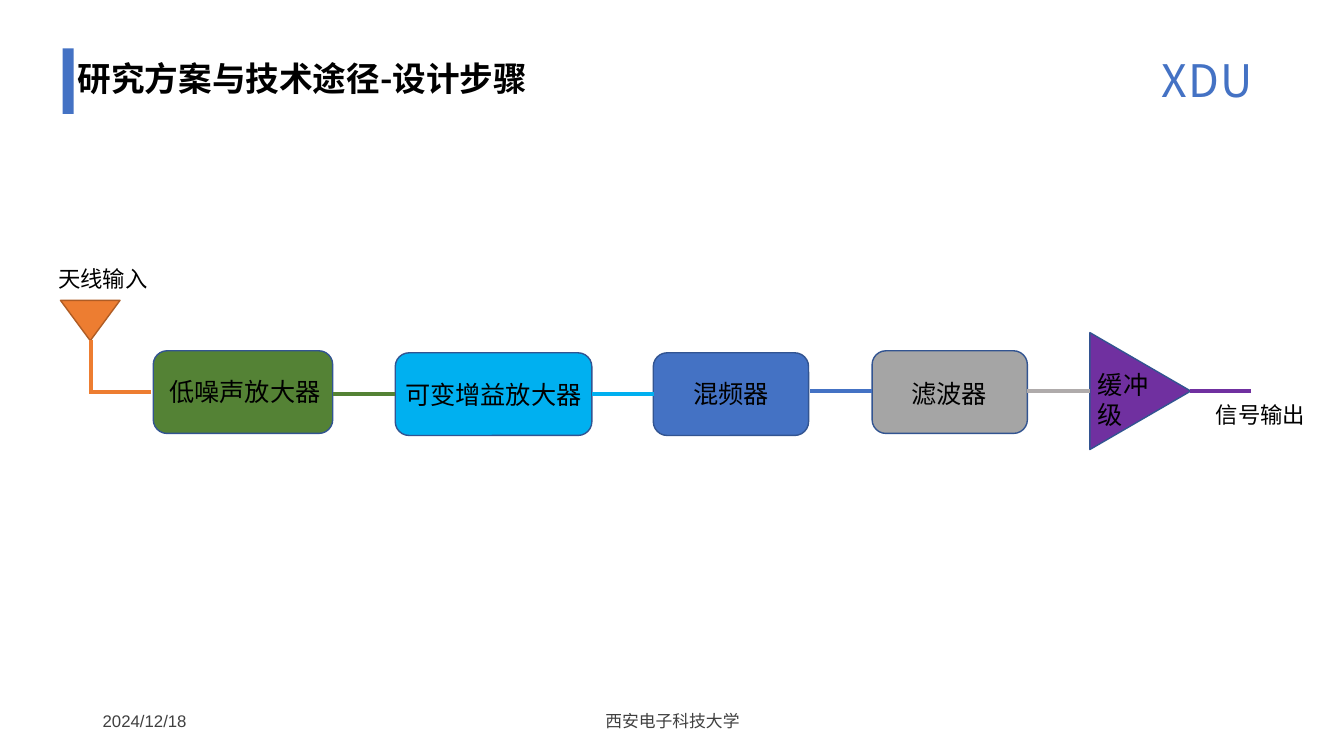
from dataclasses import dataclass

from lxml.etree import SubElement
from pptx import Presentation
from pptx.dml.color import RGBColor
from pptx.enum.shapes import MSO_CONNECTOR, MSO_SHAPE
from pptx.enum.text import MSO_ANCHOR, PP_ALIGN
from pptx.oxml.ns import qn
from pptx.util import Inches, Pt

CJK = "Noto Sans CJK SC"
BLUE, ORANGE, PURPLE = "4472C4", "ED7D31", "7030A0"
BLACK, GREY, OUTLINE = "000000", "404040", "325491"


@dataclass
class Box:
    left: float
    top: float
    width: float
    height: float

    def emu(self):
        return [Inches(v) for v in (self.left, self.top, self.width, self.height)]


@dataclass
class Label:
    text: str
    box: Box
    size: int = 18
    color: str = BLACK
    font: str = CJK
    bold: bool = False
    wrap: bool = False
    align: PP_ALIGN = PP_ALIGN.LEFT
    anchor: MSO_ANCHOR = MSO_ANCHOR.TOP


@dataclass
class Block:
    box: Box
    fill: str
    shape: MSO_SHAPE = MSO_SHAPE.ROUNDED_RECTANGLE
    line: str | None = OUTLINE
    rotation: int = 0


@dataclass
class Wire:
    x1: float
    y1: float
    x2: float
    y2: float
    color: str


def rgb(value: str) -> RGBColor:
    return RGBColor.from_string(value)


def write_label(sp, label: Label):
    sp.left, sp.top, sp.width, sp.height = label.box.emu()
    tf = sp.text_frame
    tf.word_wrap = label.wrap
    tf.vertical_anchor = label.anchor
    p = tf.paragraphs[0]
    p.text = label.text
    p.alignment = label.align
    p.font.size = Pt(label.size)
    p.font.bold = label.bold
    p.font.color.rgb = rgb(label.color)
    p.font.name = label.font
    r_pr = p._p.pPr.find(qn("a:defRPr"))
    SubElement(r_pr, qn("a:ea")).set("typeface", CJK)
    return p


def add_label(s, label: Label):
    return write_label(s.shapes.add_textbox(*label.box.emu()), label)


def add_block(s, block: Block) -> None:
    sp = s.shapes.add_shape(block.shape, *block.box.emu())
    sp.rotation = block.rotation
    sp.shadow.inherit = False
    sp.fill.solid()
    sp.fill.fore_color.rgb = rgb(block.fill)
    if block.line:
        sp.line.color.rgb = rgb(block.line)
        sp.line.width = Pt(1)
    else:
        sp.line.fill.background()


def add_wire(s, wire: Wire) -> None:
    ends = [Inches(v) for v in (wire.x1, wire.y1, wire.x2, wire.y2)]
    cx = s.shapes.add_connector(MSO_CONNECTOR.STRAIGHT, *ends)
    cx.line.color.rgb = rgb(wire.color)
    cx.line.width = Pt(3)
    SubElement(cx._element.spPr, qn("a:effectLst"))


TITLE = Label("研究方案与技术途径-设计步骤", Box(0.67, 0.52, 5.72, 0.5), 24, bold=True, wrap=True)
SCHOOL = Label("XDU", Box(11.42, 0.31, 1.21, 0.74), 32, BLUE, align=PP_ALIGN.JUSTIFY)

BLOCKS = [
    Block(Box(0.62, 0.48, 0.11, 0.65), BLUE, MSO_SHAPE.RECTANGLE, None),
    Block(Box(0.6, 2.98, 0.59, 0.4), ORANGE, MSO_SHAPE.ISOSCELES_TRIANGLE, "AF5C24", 180),
    Block(Box(1.52, 3.48, 1.78, 0.82), "548235"),
    Block(Box(3.92, 3.5, 1.95, 0.82), "00B0F0"),
    Block(Box(6.48, 3.5, 1.54, 0.82), BLUE),
    Block(Box(8.65, 3.48, 1.54, 0.82), "A5A5A5"),
    Block(Box(10.73, 3.38, 1.16, 1), PURPLE, MSO_SHAPE.ISOSCELES_TRIANGLE, rotation=90),
]

WIRES = [
    Wire(0.9, 3.37, 0.9, 3.91, ORANGE),
    Wire(1.5, 3.89, 0.88, 3.89, ORANGE),
    Wire(3.92, 3.91, 3.3, 3.91, "548235"),
    Wire(6.49, 3.91, 5.87, 3.91, "00B0F0"),
    Wire(8.65, 3.88, 8.03, 3.88, BLUE),
    Wire(10.81, 3.88, 10.19, 3.88, "AFABAB"),
    Wire(12.41, 3.88, 11.8, 3.88, PURPLE),
]

LABELS = [
    Label("天线输入", Box(0.48, 2.58, 1.1, 0.37), 16),
    Label("低噪声放大器", Box(1.58, 3.68, 1.72, 0.4)),
    Label("可变增益放大器", Box(3.92, 3.71, 1.97, 0.4)),
    Label("混频器", Box(6.78, 3.7, 0.96, 0.4)),
    Label("滤波器", Box(8.94, 3.7, 0.96, 0.4)),
    Label("缓冲级", Box(10.79, 3.61, 0.85, 0.71), wrap=True),
    Label("信号输出", Box(11.96, 3.93, 1.1, 0.37), 16),
    Label("西安电子科技大学", Box(4.42, 6.95, 4.5, 0.4), 12, GREY, "Arial",
          wrap=True, align=PP_ALIGN.CENTER, anchor=MSO_ANCHOR.MIDDLE),
    Label("2024/12/18", Box(0.92, 6.95, 3, 0.4), 12, GREY, "Arial",
          wrap=True, anchor=MSO_ANCHOR.MIDDLE),
]


def main() -> None:
    prs = Presentation()
    prs.slide_width, prs.slide_height = Inches(13.33), Inches(7.5)
    s = prs.slides.add_slide(prs.slide_layouts[5])
    write_label(s.shapes.title, TITLE)
    school = add_label(s, SCHOOL)
    school.line_spacing = 1.3
    school._p.pPr.find(qn("a:defRPr")).set("spc", "100")
    for block in BLOCKS:
        add_block(s, block)
    for wire in WIRES:
        add_wire(s, wire)
    for label in LABELS:
        add_label(s, label)
    prs.save("out.pptx")


if __name__ == "__main__":
    main()
